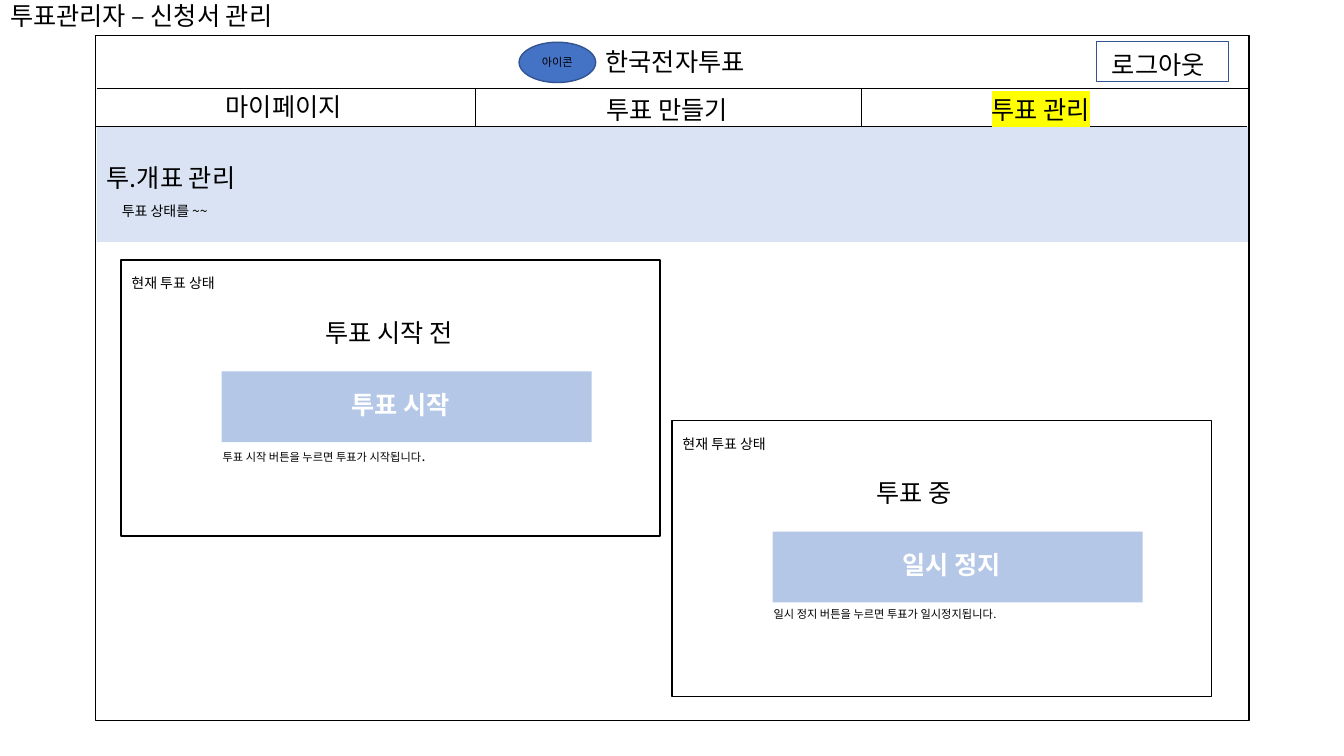
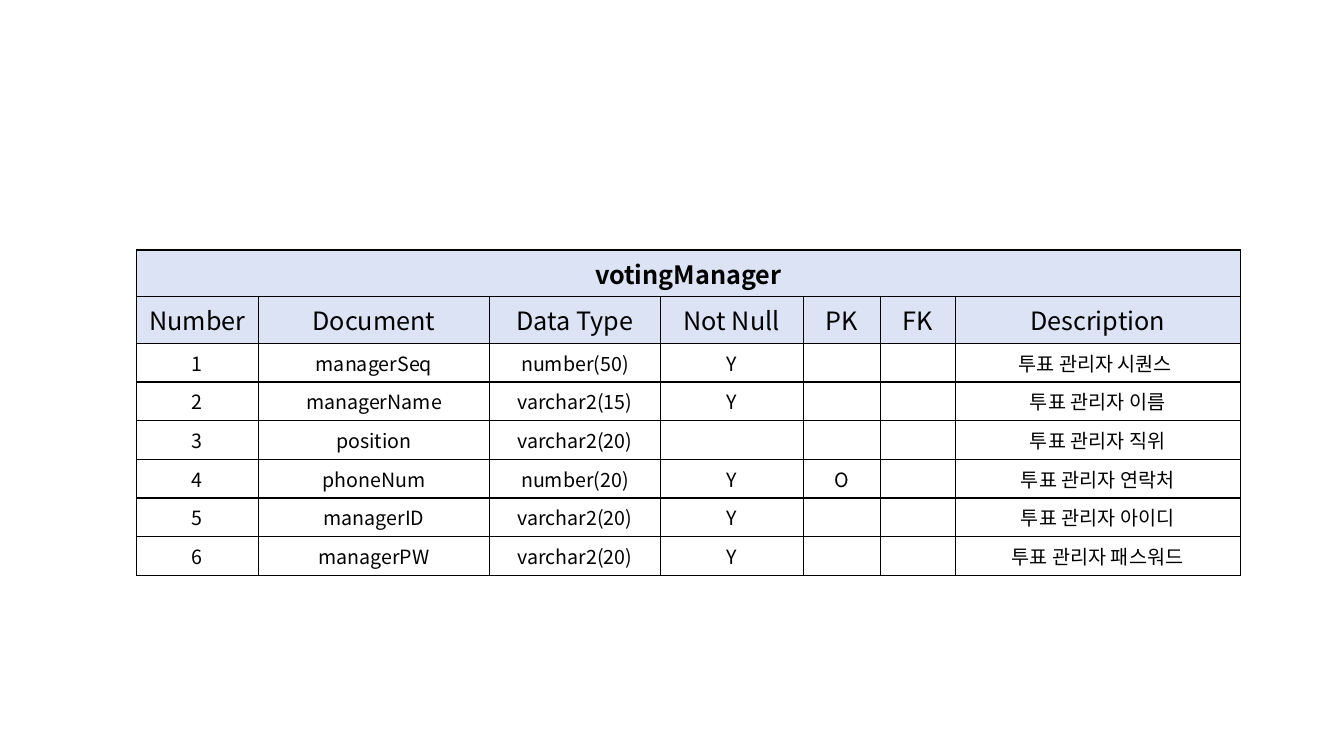
from dataclasses import dataclass

from lxml.etree import SubElement
from pptx import Presentation
from pptx.dml.color import RGBColor
from pptx.enum.shapes import MSO_CONNECTOR as LINE, MSO_SHAPE as SHAPE
from pptx.enum.text import MSO_ANCHOR as ANCHOR, PP_ALIGN as ALIGN
from pptx.oxml.ns import qn
from pptx.util import Pt


@dataclass(frozen=True)
class Theme:
    font: str = "Noto Sans CJK KR"
    black: str = "000000"
    white: str = "FFFFFF"
    icon: str = "4472C4"
    outline: str = "325491"
    band: str = "DAE3F3"
    button: str = "B4C7E7"
    header: str = "DBE3F4"
    mark: str = "FFFF00"
    heading: int = 18
    cell: int = 14
    note: int = 10
    small: int = 8
    rule: float = 0.75
    border: float = 1


T = Theme()
CARD_W, CARD_H = 385.2, 197.2
COLS = [87.1, 165.4, 121.8, 102.1, 55, 53.6, 203.6]
HEADER_H, BODY_H = 33.3, 27.6
HEADERS = ["Number", "Document", "Data Type", "Not Null", "PK", "FK", "Description"]
FIELDS = [
    ["managerSeq", "number(50)", "Y", "", "", "투표 관리자 시퀀스 "],
    ["managerName", "varchar2(15)", "Y", "", "", "투표 관리자 이름"],
    ["position", "varchar2(20)", "", "", "", "투표 관리자 직위"],
    ["phoneNum", "number(20)", "Y", "O", "", "투표 관리자 연락처"],
    ["managerID", "varchar2(20)", "Y", "", "", "투표 관리자 아이디"],
    ["managerPW", "varchar2(20)", "Y", "", "", "투표 관리자 패스워드"],
]


def assign(obj, values):
    for name, value in values.items():
        setattr(obj, name, value)


def rgb(color):
    return RGBColor.from_string(color)


def add_solid(parent, tag, color):
    SubElement(SubElement(parent, qn(tag)), qn("a:srgbClr"), val=color)


def add_run(p, text, size, color=T.black, bold=False, mark=None):
    r = p.add_run()
    r.text = text
    r.font.color.rgb = rgb(color)
    rpr = r._r.get_or_add_rPr()
    if mark:
        add_solid(rpr, "a:highlight", mark)
    assign(r.font, {"size": Pt(size), "bold": bold, "name": T.font})
    SubElement(rpr, qn("a:ea"), typeface=T.font)


def add_label(s, x, y, w, text, size=T.heading, **style):
    sp = s.shapes.add_textbox(Pt(x), Pt(y), Pt(w), Pt(size * 1.6))
    sp.text_frame.word_wrap = True
    p = sp.text_frame.paragraphs[0]
    add_run(p, text, size, **style)
    return p


def add_title(s, x, y, w, h, text):
    sp = s.shapes.title
    assign(sp, {"left": Pt(x), "top": Pt(y), "width": Pt(w), "height": Pt(h)})
    tf = sp.text_frame
    assign(tf, {"word_wrap": True, "vertical_anchor": ANCHOR.TOP})
    p = tf.paragraphs[0]
    assign(p, {"alignment": ALIGN.LEFT, "line_spacing": 1.0})
    add_run(p, text, T.heading)


def add_box(s, x, y, w, h, fill=None, line=None, kind=SHAPE.RECTANGLE):
    sp = s.shapes.add_shape(kind, Pt(x), Pt(y), Pt(w), Pt(h))
    sp.shadow.inherit = False
    if fill:
        sp.fill.solid()
        sp.fill.fore_color.rgb = rgb(fill)
    else:
        sp.fill.background()
    if line:
        sp.line.color.rgb = rgb(line)
        sp.line.width = Pt(T.border)
    else:
        sp.line.fill.background()
    return sp


def write_inset(sp, left, top, text, **style):
    tf = sp.text_frame
    assign(tf, {"margin_left": Pt(left), "margin_top": Pt(top), "margin_right": 0,
                "margin_bottom": 0, "vertical_anchor": ANCHOR.TOP})
    tf.paragraphs[0].alignment = ALIGN.LEFT
    add_run(tf.paragraphs[0], text, T.heading, **style)


def add_rule(s, x1, y1, x2, y2):
    c = s.shapes.add_connector(LINE.STRAIGHT, Pt(x1), Pt(y1), Pt(x2), Pt(y2))
    c.line.color.rgb = rgb(T.black)
    c.line.width = Pt(T.rule)
    SubElement(c._element.spPr, qn("a:effectLst"))


def add_card(s, x, y, status, action, hint, end=""):
    add_box(s, x, y, CARD_W, CARD_H, T.white, T.black)
    add_label(s, x + 0.4, y + 7.2, 93, "현재 투표 상태", T.note)
    add_label(s, x + 139, y + 37.4, 122, status)
    button = add_box(s, x + 72, y + 79.6, 264.2, 50.6, T.button)
    write_inset(button, 92.6, 12.6, action, color=T.white, bold=True)
    p = add_label(s, x + 65.5, y + 130.3, 237, hint, T.small)
    if end:
        add_run(p, end, T.note)


def add_header(s):
    add_rule(s, 69.1, 63.4, 891.4, 63.4)
    icon = add_box(s, 370.8, 30.2, 54.7, 28.8, T.icon, T.outline, SHAPE.OVAL)
    tf = icon.text_frame
    assign(tf, {"word_wrap": False, "vertical_anchor": ANCHOR.MIDDLE})
    tf.paragraphs[0].alignment = ALIGN.CENTER
    add_run(tf.paragraphs[0], "아이콘", T.small)
    add_label(s, 425.5, 29.5, 133, "한국전자투표")
    logout = add_box(s, 783.4, 29.5, 94.3, 28.8, line=T.outline)
    write_inset(logout, 10.8, 5.8, "로그아웃")
    for x in (339.8, 615.6):
        add_rule(s, x, 63.8, x, 91)
    for x, y, name, mark in [(154.1, 61.9, "마이페이지", None),
                             (426.2, 64.1, "투표 만들기", None),
                             (701.3, 64.1, "투표 관리", T.mark)]:
        add_label(s, x, y, 145, name, mark=mark)


def build_management(prs):
    s = prs.slides.add_slide(prs.slide_layouts[5])
    add_title(s, 0, -3.6, 249, 29, "투표관리자 – 신청서 관리")
    add_box(s, 68.4, 25.2, 823.7, 489.6, line=T.black)
    add_box(s, 69.1, 90.7, 822.2, 82, T.band)
    add_rule(s, 68.4, 90.7, 890.6, 90.7)
    add_header(s)
    add_label(s, 69.1, 112.3, 194, "투.개표 관리")
    add_label(s, 79.9, 141.1, 93, "투표 상태를 ~~", T.note)
    add_card(s, 86.4, 185.6, "투표 시작 전", "투표 시작",
             "투표 시작 버튼을 누르면 투표가 시작됩니다", ".")
    add_card(s, 480, 300.2, "투표 중", "일시 정지",
             "일시 정지 버튼을 누르면 투표가 일시정지됩니다.")


def format_cell(cell, text, size, fill, bold=False):
    tcpr = cell._tc.get_or_add_tcPr()
    for side in ("a:lnL", "a:lnR", "a:lnT", "a:lnB"):
        ln = SubElement(tcpr, qn(side), w=str(Pt(T.border)))
        add_solid(ln, "a:solidFill", T.black)
    cell.fill.solid()
    cell.fill.fore_color.rgb = rgb(fill)
    p = cell.text_frame.paragraphs[0]
    p.alignment = ALIGN.CENTER
    if text:
        add_run(p, text, size, bold=bold)
    else:
        SubElement(p._p, qn("a:endParaRPr"), sz=str(size * 100))


def build_schema(prs):
    s = prs.slides.add_slide(prs.slide_layouts[6])
    rows = [["votingManager"] + [""] * (len(COLS) - 1), HEADERS]
    rows += [[str(n), *field] for n, field in enumerate(FIELDS, 1)]
    heights = [HEADER_H] * 2 + [BODY_H] * len(FIELDS)
    table = s.shapes.add_table(len(rows), len(COLS), Pt(97.4), Pt(178.6),
                               Pt(sum(COLS)), Pt(sum(heights))).table
    assign(table, {"first_row": False, "horz_banding": False})
    for col, width in zip(table.columns, COLS):
        col.width = Pt(width)
    for i, (values, height) in enumerate(zip(rows, heights)):
        table.rows[i].height = Pt(height)
        size, fill = (T.heading, T.header) if i < 2 else (T.cell, T.white)
        for j, value in enumerate(values):
            format_cell(table.cell(i, j), value, size, fill, bold=i == 0)
    table.cell(0, 0).merge(table.cell(0, len(COLS) - 1))


def main():
    prs = Presentation()
    assign(prs, {"slide_width": Pt(960), "slide_height": Pt(540)})
    build_management(prs)
    build_schema(prs)
    prs.save("out.pptx")


if __name__ == "__main__":
    main()
